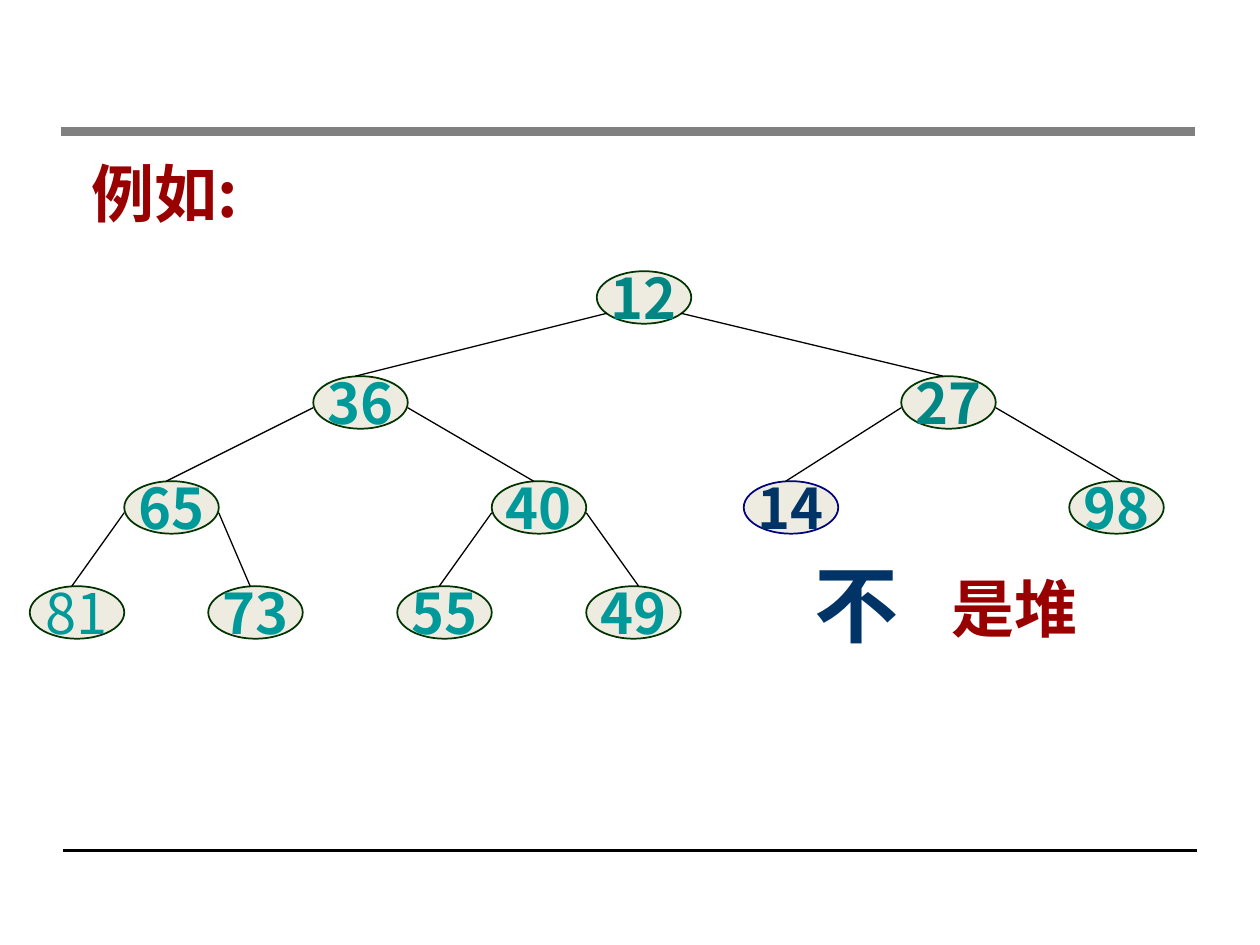
"""Draw a binary tree that breaks the heap order."""
from dataclasses import dataclass

from lxml import etree
from pptx import Presentation
from pptx.dml.color import RGBColor
from pptx.enum import shapes, text
from pptx.oxml import ns
from pptx.util import Pt

FONT = "Noto Sans CJK SC"
WIDE, HIGH = 54, 30
TOP, STEP = 155, 60
TEAL, DEEP, NAVY, RED = "009999", "008784", "003366", "990000"


@dataclass
class Node:
    key: str
    left: float
    ink: str = TEAL
    edge: str = "003300"
    bold: bool = True
    tip: float = 24


@dataclass
class Label:
    words: str
    box: tuple[float, float, float, float]
    size: float
    ink: str
    wrap: bool = False


NODES = [
    Node("12", 341, DEEP),
    Node("36", 179),
    Node("27", 515, DEEP),
    Node("65", 71),
    Node("40", 281),
    Node("14", 425, NAVY, "000080"),
    Node("98", 611, tip=30),
    Node("81", 17, bold=False),
    Node("73", 119),
    Node("55", 227),
    Node("49", 335, tip=30),
]
LABELS = [
    Label("例如:", (36.5, 84.5, 95, 51), 36, RED),
    Label("是堆", (490, 322, 133, 50.5), 36, RED, True),
    Label("不", (458, 312, 62.5, 65), 48, NAVY),
]


def tint(code: str) -> RGBColor:
    return RGBColor.from_string(code)


def write(frame, words: str, size: float, ink: str, bold: bool, align) -> None:
    line = frame.paragraphs[0]
    line.alignment = align
    run = line.add_run()
    run.text = words
    font = run.font
    font.size, font.bold = Pt(size), bold
    font.color.rgb = tint(ink)
    font.name = FONT
    etree.SubElement(run._r.rPr, ns.qn("a:ea"), typeface=FONT)


def rule(slide, x1: float, y1: float, x2: float, y2: float,
         width: float = 0.75, ink: str = "000000") -> None:
    line = slide.shapes.add_connector(
        shapes.MSO_CONNECTOR.STRAIGHT, Pt(x1), Pt(y1), Pt(x2), Pt(y2))
    line.line.width = Pt(width)
    line.line.color.rgb = tint(ink)
    etree.SubElement(line._element.spPr, ns.qn("a:effectLst"))


def level(spot: int) -> float:
    return TOP + STEP * ((spot + 1).bit_length() - 1)


def oval(slide, spot: int, node: Node) -> None:
    shape = slide.shapes.add_shape(
        shapes.MSO_SHAPE.OVAL, Pt(node.left), Pt(level(spot)), Pt(WIDE), Pt(HIGH))
    shape.shadow.inherit = False
    shape.fill.solid()
    shape.fill.fore_color.rgb = tint("EEECE1")
    shape.line.color.rgb = tint(node.edge)
    shape.line.width = Pt(1)
    frame = shape.text_frame
    frame.word_wrap = False
    frame.vertical_anchor = text.MSO_ANCHOR.MIDDLE
    write(frame, node.key, 32, node.ink, node.bold, text.PP_ALIGN.CENTER)


def branch(slide, spot: int, node: Node) -> None:
    base = (spot - 1) // 2
    inset, drop = (6, 24) if base == 0 else (0, 18)
    side = inset if spot % 2 else WIDE - inset
    rule(slide, NODES[base].left + side, level(base) + drop,
         node.left + node.tip, level(spot))


def note(slide, label: Label) -> None:
    frame = slide.shapes.add_textbox(*map(Pt, label.box)).text_frame
    frame.word_wrap = label.wrap
    frame.auto_size = text.MSO_AUTO_SIZE.SHAPE_TO_FIT_TEXT
    write(frame, label.words, label.size, label.ink, True, text.PP_ALIGN.RIGHT)


def main() -> None:
    deck = Presentation()
    deck.slide_width, deck.slide_height = Pt(720), Pt(540)
    slide = deck.slides.add_slide(deck.slide_layouts[6])
    rule(slide, 36, 486, 684, 486, 2)
    rule(slide, 35, 75, 683, 75, 5, "808080")
    for spot, node in enumerate(NODES):
        oval(slide, spot, node)
        if spot:
            branch(slide, spot, node)
    for label in LABELS:
        note(slide, label)
    deck.save("out.pptx")


if __name__ == "__main__":
    main()
